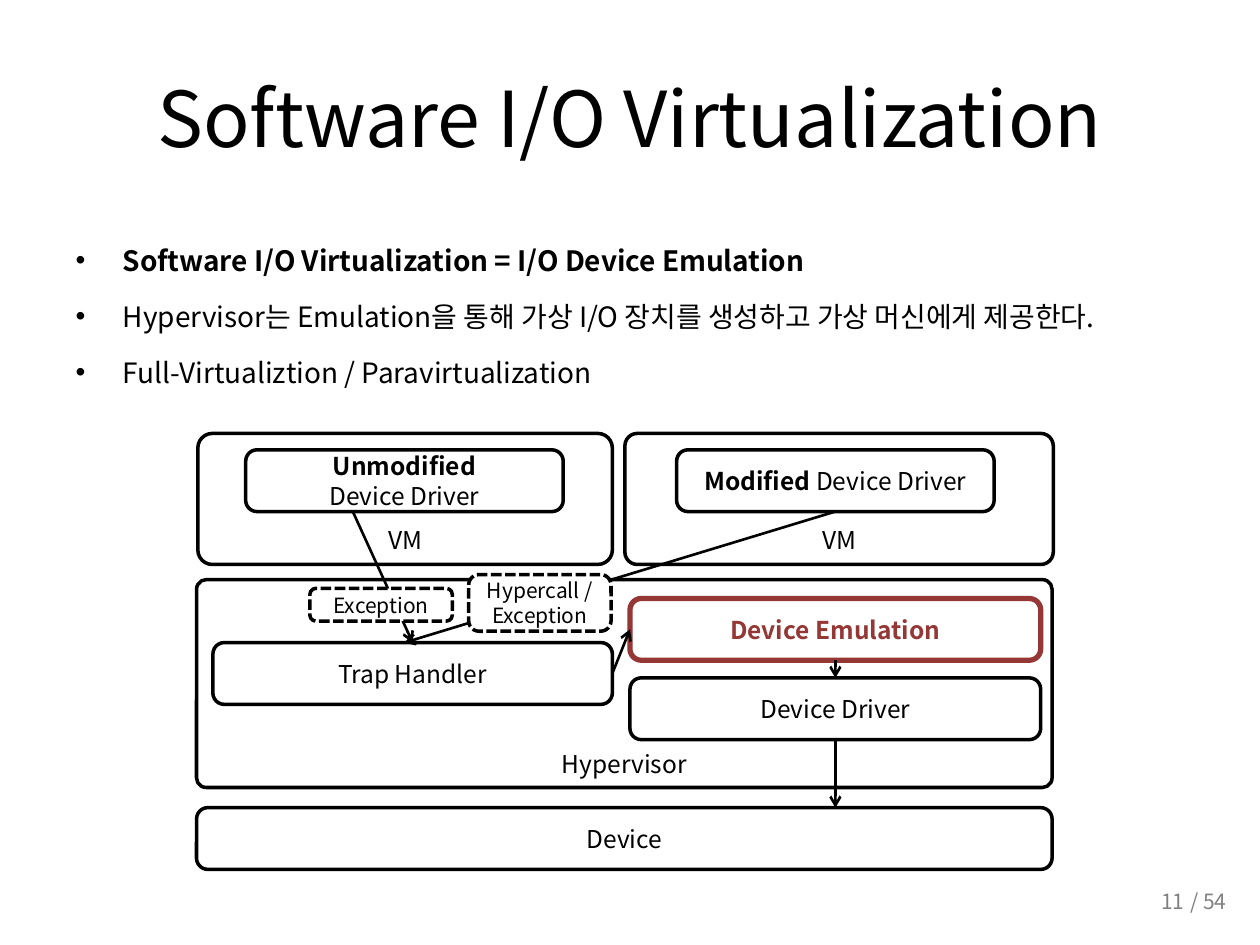
from lxml.etree import SubElement
from pptx import Presentation
from pptx.dml.color import RGBColor
from pptx.enum.dml import MSO_LINE_DASH_STYLE as Dash
from pptx.enum.shapes import MSO_CONNECTOR as Conn, MSO_SHAPE as Shape
from pptx.enum.text import MSO_ANCHOR as Anchor, MSO_AUTO_SIZE as Auto, PP_ALIGN as Align
from pptx.oxml.ns import qn
from pptx.util import Inches, Pt

FONT = "Noto Sans CJK KR"
BLACK, WHITE, RED, GRAY = "000000", "FFFFFF", "953735", "808080"

# Content: a line of text is a list of (words, bold) runs
TITLE = "Software I/O Virtualization"
BULLETS = [
    ("Software I/O Virtualization = I/O Device Emulation", True),
    ("Hypervisor는 Emulation을 통해 가상 I/O 장치를 생성하고 가상 머신에게 제공한다.", False),
    ("Full-Virtualiztion / Paravirtualization", False),
]

# Boxes: name, (left, top, width, height), corner, lines, format
ROW, ROUND = 0.49, 0.183
LOW = {"anchor": Anchor.BOTTOM}
HOT = {"color": RED, "width": 3}
TAG = {"size": 12, "dash": Dash.SQUARE_DOT}
BOXES = [
    ("hyper", (1.56, 4.6, 6.79, 1.65), 0.047, [[("Hypervisor", False)]], LOW),
    ("device", (1.56, 6.41, 6.79, ROW), ROUND, [[("Device", False)]], {}),
    ("driver", (5, 5.38, 3.26, ROW), ROUND, [[("Device Driver", False)]], {}),
    ("emu", (5, 4.75, 3.26, ROW), ROUND, [[("Device Emulation", True)]], HOT),
    ("vm1", (1.57, 3.44, 3.29, 1.04), 0.111, [[("VM", False)]], LOW),
    ("vm2", (4.96, 3.44, 3.4, 1.04), 0.095, [[("VM", False)]], LOW),
    ("plain", (1.95, 3.57, 2.52, ROW), ROUND,
     [[("Unmodified", True)], [("Device Driver", False)]], {}),
    ("mod", (5.37, 3.57, 2.52, ROW), ROUND,
     [[("Modified", True), (" Device Driver", False)]], {}),
    ("trap", (1.69, 5.1, 3.17, ROW), ROUND, [[("Trap Handler", False)]], {}),
]
TAGS = [
    ("fault", (2.46, 4.67, 1.13, 0.26), ROUND, [[("Exception", False)]], TAG),
    ("call", (3.72, 4.56, 1.13, 0.45), ROUND,
     [[("Hypercall /", False)], [("Exception", False)]], TAG),
]

# Arrows: from, to, joined start, joined end (box name, side)
ARROWS = [
    ((2.8, 4.06), (3.28, 5.1), None, ("trap", 0)),
    ((4.86, 5.34), (5, 5), ("trap", 3), ("emu", 1)),
    ((6.63, 4.06), (3.21, 5.1), ("mod", 2), None),
    ((6.63, 5.24), (6.63, 5.38), ("emu", 2), ("driver", 0)),
    ((6.63, 5.87), (6.63, 6.41), ("driver", 2), None),
]

# Page number: text, place, alignment
PAGE = [
    ("/ 54", (9.35, 7, 0.94, 0.3), Align.LEFT, Anchor.TOP),
    ("11", (7.17, 6.95, 2.33, 0.4), Align.RIGHT, Anchor.MIDDLE),
]


def rgb(code):
    return RGBColor.from_string(code)


def inches(vals):
    return [Inches(v) for v in vals]


def put(obj, vals):
    for key, val in vals.items():
        setattr(obj, key, val)


def add_run(par, text, size, color=BLACK, bold=False):
    run = par.add_run()
    run.text = text
    put(run.font, {"name": FONT, "size": Pt(size), "bold": bold})
    run.font.color.rgb = rgb(color)
    SubElement(run.font._element, qn("a:ea"), typeface=FONT)


def place(shape, spot):
    put(shape, dict(zip(("left", "top", "width", "height"), inches(spot))))


def add_box(shapes, spot, corner, lines, form):
    box = shapes.add_shape(Shape.ROUNDED_RECTANGLE, *inches(spot))
    box.adjustments[0] = corner
    box.shadow.inherit = False
    box.fill.solid()
    box.fill.fore_color.rgb = rgb(WHITE)
    color = form.get("color", BLACK)
    box.line.color.rgb = rgb(color)
    put(box.line, {"width": Pt(form.get("width", 2)), "dash_style": form.get("dash")})
    frame = box.text_frame
    put(frame, {"word_wrap": True,
                "vertical_anchor": form.get("anchor", Anchor.MIDDLE)})
    for i, runs in enumerate(lines):
        par = frame.add_paragraph() if i else frame.paragraphs[0]
        par.alignment = Align.CENTER
        for text, bold in runs:
            add_run(par, text, form.get("size", 14), color, bold)
    return box


def add_arrow(shapes, start, end, tail, head, boxes):
    line = shapes.add_connector(Conn.STRAIGHT, *inches(start + end))
    if tail:
        line.begin_connect(boxes[tail[0]], tail[1])
    if head:
        line.end_connect(boxes[head[0]], head[1])
    line.line.color.rgb = rgb(BLACK)
    line.line.width = Pt(1.5)
    SubElement(line.line._get_or_add_ln(), qn("a:tailEnd"), type="arrow")
    SubElement(line._element.spPr, qn("a:effectLst"))


def main():
    deck = Presentation()
    put(deck, {"slide_width": Inches(10), "slide_height": Inches(7.5)})
    slide = deck.slides.add_slide(deck.slide_layouts[1])
    shapes = slide.shapes

    # Title and list
    title, body = slide.placeholders
    place(title, (0.5, 0.3, 9, 1.25))
    title.text_frame.vertical_anchor = Anchor.MIDDLE
    title.text_frame.paragraphs[0].alignment = Align.CENTER
    add_run(title.text_frame.paragraphs[0], TITLE, 44)
    place(body, (0.5, 1.75, 9, 4.95))
    frame = body.text_frame
    frame.auto_size = Auto.NONE
    for i, (text, bold) in enumerate(BULLETS):
        par = frame.add_paragraph() if i else frame.paragraphs[0]
        put(par, {"line_spacing": 1.5, "space_before": Pt(3.2 if i else 0)})
        add_run(par, text, 16, bold=bold)

    # Diagram: boxes, arrows, then the tags over the arrows
    boxes = {name: add_box(shapes, *rest) for name, *rest in BOXES}
    for arrow in ARROWS:
        add_arrow(shapes, *arrow, boxes)
    for _, *rest in TAGS:
        add_box(shapes, *rest)

    # Page number
    for text, spot, align, anchor in PAGE:
        frame = shapes.add_textbox(*inches(spot)).text_frame
        put(frame, {"word_wrap": True, "vertical_anchor": anchor})
        frame.paragraphs[0].alignment = align
        add_run(frame.paragraphs[0], text, 12, GRAY)

    deck.save("out.pptx")


if __name__ == "__main__":
    main()
